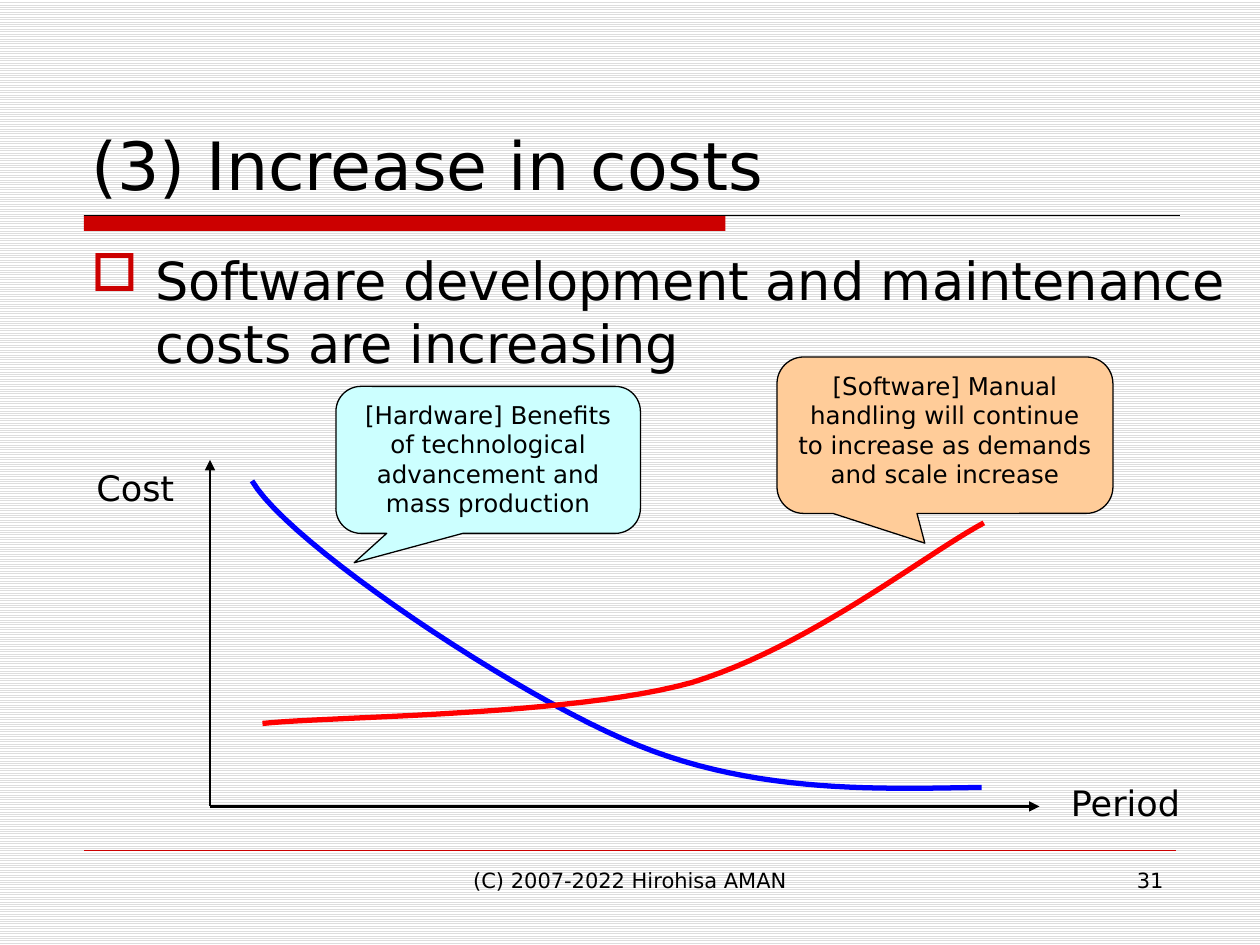
"""Builds the slide on rising software costs, on a grid of 120 columns by 90 rows."""
from lxml.etree import SubElement
from pptx import Presentation
from pptx.dml.color import RGBColor
from pptx.enum.dml import MSO_PATTERN
from pptx.enum.shapes import MSO_CONNECTOR, MSO_SHAPE
from pptx.enum.text import MSO_ANCHOR, PP_ALIGN
from pptx.oxml.ns import qn
from pptx.util import Inches, Pt

BLACK = RGBColor(0x00, 0x00, 0x00)
WHITE = RGBColor(0xFF, 0xFF, 0xFF)
STRIPE = RGBColor(0xDD, 0xDD, 0xDD)
ACCENT = RGBColor(0xCC, 0x00, 0x00)
BLUE = RGBColor(0x00, 0x00, 0xFF)
RED = RGBColor(0xFF, 0x00, 0x00)
CYAN = RGBColor(0xCC, 0xFF, 0xFF)
ORANGE = RGBColor(0xFF, 0xCC, 0x99)
FONT = "DejaVu Sans"
CURVE_STEPS = 24

TEXTS = [
    ("(3) Increase in costs", (7.5, 4, 105, 16), {"size": 38, "anchor": MSO_ANCHOR.BOTTOM}),
    ("Software development and maintenance costs are increasing",
     (7.5, 23, 111.6, 56), {"size": 30, "bullet": "□"}),
    ("Period", (100.8, 73.8, 12.8, 5.3), {"size": 20, "wrap": False}),
    ("Cost", (8, 43.8, 9.8, 5.3), {"size": 20, "wrap": False}),
    ("(C) 2007-2022 Hirohisa AMAN", (41, 82, 38, 6.2), {"size": 12, "align": PP_ALIGN.CENTER}),
    ("31", (86, 82, 26, 6.2), {"size": 12, "align": PP_ALIGN.RIGHT}),
]
TITLE_BAR = (8, 20.5, 61.1, 1.5)
LINES = [
    ((8, 20.5), (112.4, 20.5), BLACK, 0.75, False),
    ((8, 81), (112, 81), ACCENT, 0.25, False),
    ((20, 76.8), (99, 76.8), BLACK, 1.5, True),
    ((20, 76.8), (20, 43.8), BLACK, 1.5, True),
]
CURVES = [
    (BLUE, [(24, 45.8), (27.5, 51.8), (49.3, 66.4), (60.8, 71),
            (72.4, 75.7), (84.4, 75.1), (93.5, 75)]),
    (RED, [(25, 68.9), (31.8, 68.2), (54.4, 68.2), (65.9, 65),
           (77, 61.6), (87.8, 53), (93.7, 49.8)]),
]
CALLOUTS = [
    ("[Hardware] Benefits of technological advancement and mass production",
     (32, 36.8, 29, 14), (-0.44, 0.7, 0.17), CYAN),
    ("[Software] Manual handling will continue to increase as demands and scale increase",
     (74, 34, 32, 14.9), (-0.06, 0.69, 0.17), ORANGE),
]

presentation = Presentation()
presentation.slide_width, presentation.slide_height = Inches(10), Inches(7.5)
UNIT = presentation.slide_width / 120
slide = presentation.slides.add_slide(presentation.slide_layouts[6])


def grid(values):
    return [round(value * UNIT) for value in values]


def write(shape, text, size, align=PP_ALIGN.LEFT, anchor=MSO_ANCHOR.TOP, wrap=True, bullet=None):
    frame = shape.text_frame
    frame.word_wrap, frame.vertical_anchor = wrap, anchor
    paragraph = frame.paragraphs[0]
    paragraph.alignment = align
    run = paragraph.add_run()
    run.text = text
    run.font.name, run.font.size = FONT, Pt(size)
    run.font.color.rgb = BLACK
    if bullet:
        properties = paragraph._p.get_or_add_pPr()
        properties.set("marL", str(Inches(0.51)))
        properties.set("indent", str(-Inches(0.51)))
        color = SubElement(properties, qn("a:buClr"))
        SubElement(color, qn("a:srgbClr")).set("val", str(ACCENT))
        SubElement(properties, qn("a:buChar")).set("char", bullet)


def add_shape(kind, box, color, outlined):
    shape = slide.shapes.add_shape(kind, *grid(box))
    shape.shadow.inherit = False
    shape.fill.solid()
    shape.fill.fore_color.rgb = color
    if outlined:
        shape.line.color.rgb, shape.line.width = BLACK, Pt(0.75)
    else:
        shape.line.fill.background()
    return shape


def add_line(start, end, color, width, arrow):
    line = slide.shapes.add_connector(MSO_CONNECTOR.STRAIGHT, *grid(start + end))
    line.line.color.rgb, line.line.width = color, Pt(width)
    if arrow:
        SubElement(line.line._get_or_add_ln(), qn("a:tailEnd")).set("type", "triangle")
    SubElement(line._element.spPr, qn("a:effectLst"))


def bezier(controls, t):
    weights = ((1 - t) ** 3, 3 * t * (1 - t) ** 2, 3 * t * t * (1 - t), t ** 3)
    return [sum(w * point[axis] for w, point in zip(weights, controls)) for axis in (0, 1)]


def add_curve(color, controls):
    points = [grid(bezier(controls[first:first + 4], step / CURVE_STEPS))
              for first in range(0, len(controls) - 1, 3)
              for step in range(1, CURVE_STEPS + 1)]
    builder = slide.shapes.build_freeform(*grid(controls[0]))
    builder.add_line_segments(points, close=False)
    curve = builder.convert_to_shape()
    curve.shadow.inherit = False
    curve.fill.background()
    curve.line.color.rgb, curve.line.width = color, Pt(3)


background = slide.background.fill
background.patterned()
background.pattern = MSO_PATTERN.LIGHT_HORIZONTAL
background.fore_color.rgb, background.back_color.rgb = STRIPE, WHITE

add_shape(MSO_SHAPE.RECTANGLE, TITLE_BAR, ACCENT, outlined=False)
for line_spec in LINES:
    add_line(*line_spec)
for text, box, text_format in TEXTS:
    write(slide.shapes.add_textbox(*grid(box)), text, **text_format)
for curve_spec in CURVES:
    add_curve(*curve_spec)
for text, box, adjustments, color in CALLOUTS:
    callout = add_shape(MSO_SHAPE.ROUNDED_RECTANGULAR_CALLOUT, box, color, outlined=True)
    for index, adjustment in enumerate(adjustments):
        callout.adjustments[index] = adjustment
    write(callout, text, size=14, align=PP_ALIGN.CENTER)

presentation.save("out.pptx")
